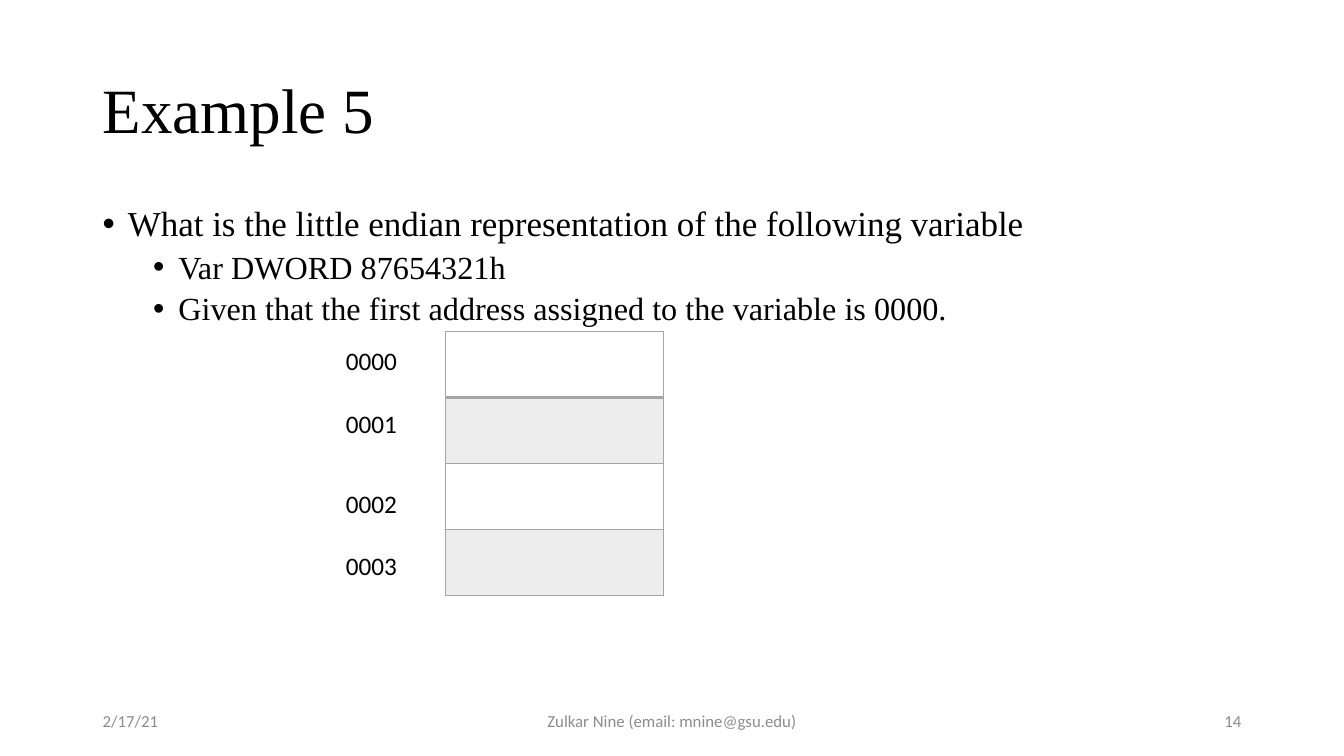
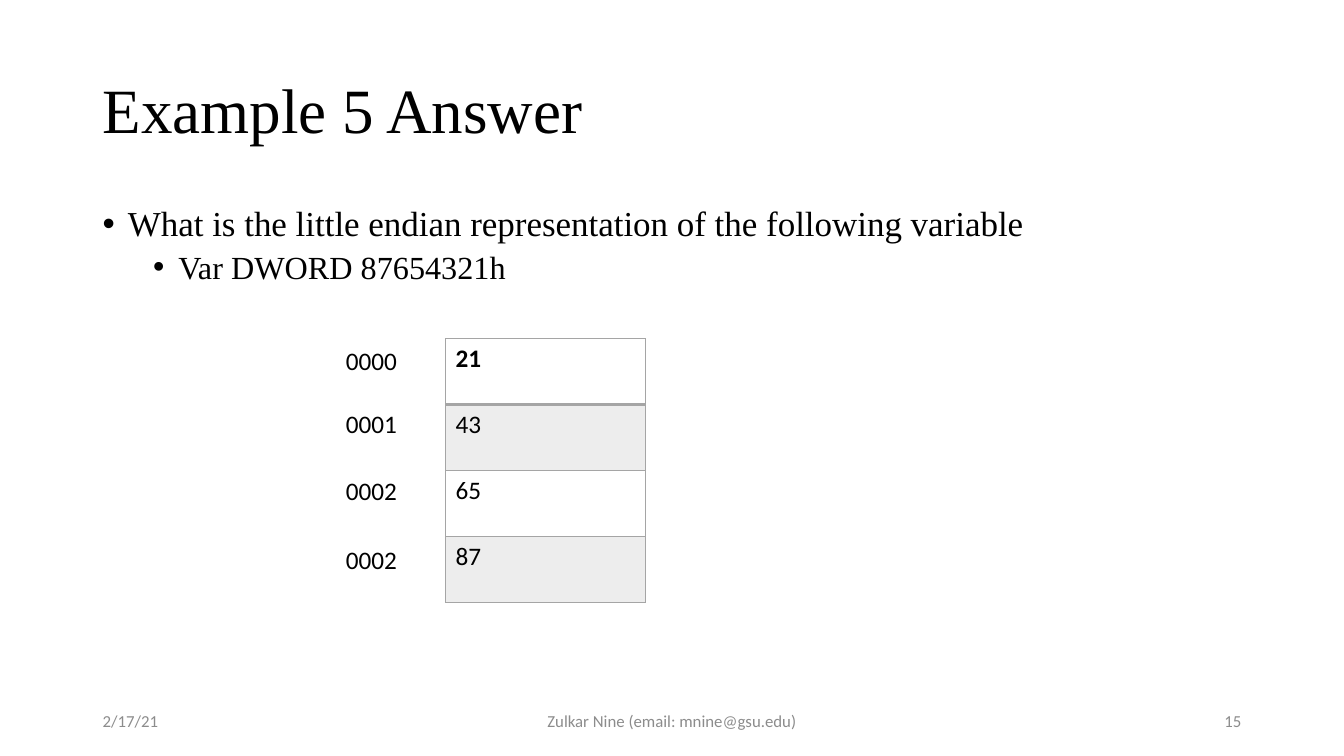
from lxml import etree
from pptx import Presentation
from pptx.dml.color import RGBColor
from pptx.enum.shapes import MSO_SHAPE as SHAPE
from pptx.enum.text import MSO_ANCHOR as ANCHOR, PP_ALIGN as ALIGN
from pptx.oxml.ns import qn
from pptx.util import Inches, Pt

WIDTH, HEIGHT = 13.33, 7.5
MARGIN = 0.92
CONTENT = WIDTH - 2 * MARGIN
BLACK, WHITE, GREY, RULE, BAND = "000000", "FFFFFF", "8C8C8C", "A5A5A5", "EDEDED"

TITLE = dict(name="Times New Roman", size=45, color=BLACK)
LEVELS = [  # text format, left indent, space before
    (dict(TITLE, size=25), 0.25, 10),
    (dict(TITLE, size=23), 0.75, 5),
]
FOOTER = dict(name="Calibri", size=12, color=GREY)
MEMORY = dict(name="Calibri", size=18, color=BLACK)

QUESTION = [
    (0, "What is the little endian representation of the following variable"),
    (1, "Var DWORD 87654321h"),
]
SLIDES = [
    dict(title="Example 5", number="14",
         bullets=QUESTION + [
             (1, "Given that the first address assigned to the variable is 0000.")],
         table_top=3.29, table_width=2.16, cells=["", "", "", ""],
         addresses=[("0000", 3.41), ("0001", 4.03), ("0002", 4.82), ("0003", 5.44)]),
    dict(title="Example 5 Answer", number="15", bullets=QUESTION,
         table_top=3.36, table_width=1.98, cells=["21", "43", "65", "87"],
         addresses=[("0000", 3.41), ("0001", 4.03), ("0002", 4.7), ("0002", 5.38)]),
]
FOOTERS = [  # text (None: slide number), left, width, alignment
    ("2/17/21", MARGIN, 3, ALIGN.LEFT),
    ("Zulkar Nine (email: mnine@gsu.edu)", (WIDTH - 4.5) / 2, 4.5, ALIGN.CENTER),
    (None, WIDTH - MARGIN - 3, 3, ALIGN.RIGHT),
]
TABLE_LEFT, ROW_HEIGHT = 4.42, 0.655
ADDRESS_LEFT, ADDRESS_WIDTH, ADDRESS_HEIGHT = 3.05, 1.27, 0.34


def rgb(color):
    return RGBColor.from_string(color)


def box(*lengths):
    return [Inches(length) for length in lengths]


def write(paragraph, text, style, **layout):
    """Add one run in the given format; layout holds paragraph attributes."""
    for attribute, value in layout.items():
        setattr(paragraph, attribute, value)
    font = paragraph.add_run()
    font.text = text
    font = font.font
    values = dict(style, size=Pt(style["size"]))
    font.color.rgb = rgb(values.pop("color"))
    for attribute, value in values.items():
        setattr(font, attribute, value)


def text_frame(slide, area, anchor):
    frame = slide.shapes.add_textbox(*box(*area)).text_frame
    frame.word_wrap = True
    frame.vertical_anchor = anchor
    return frame


def add_bullets(slide, bullets):
    frame = text_frame(slide, (MARGIN, 2, CONTENT, 4.76), ANCHOR.TOP)
    for i, (level, text) in enumerate(bullets):
        paragraph = frame.add_paragraph() if i else frame.paragraphs[0]
        style, indent, before = LEVELS[level]
        properties = paragraph._p.get_or_add_pPr()
        properties.set("marL", str(Inches(indent)))
        properties.set("indent", str(Inches(-0.25)))
        etree.SubElement(properties, qn("a:buFont")).set("typeface", "Arial")
        etree.SubElement(properties, qn("a:buChar")).set("char", "•")
        write(paragraph, text, style, level=level, line_spacing=0.9,
              space_before=Pt(before if i else 0))


def add_borders(cell, **widths):
    properties = cell._tc.get_or_add_tcPr()
    for side in "LRTB":
        line = etree.SubElement(properties, qn(f"a:ln{side}"))
        line.set("w", str(Pt(widths.get(side, 1))))
        fill = etree.SubElement(line, qn("a:solidFill"))
        etree.SubElement(fill, qn("a:srgbClr")).set("val", RULE)


def add_memory(slide, content):
    """Draw the byte cells and the addresses to their left."""
    cells = content["cells"]
    table = slide.shapes.add_table(len(cells), 1, *box(
        TABLE_LEFT, content["table_top"], content["table_width"],
        ROW_HEIGHT * len(cells))).table
    table.horz_banding = table.first_row = False
    for row, text in enumerate(cells):
        cell = table.cell(row, 0)
        add_borders(cell, **{0: {"B": 2}, 1: {"T": 2}}.get(row, {}))
        cell.fill.solid()
        cell.fill.fore_color.rgb = rgb(BAND if row % 2 else WHITE)
        if text:
            write(cell.text_frame.paragraphs[0], text, dict(MEMORY, bold=row == 0))

    for address, top in content["addresses"]:
        label = slide.shapes.add_shape(SHAPE.RECTANGLE, *box(
            ADDRESS_LEFT, top, ADDRESS_WIDTH, ADDRESS_HEIGHT))
        label.shadow.inherit = False
        label.fill.solid()
        label.fill.fore_color.rgb = rgb(WHITE)
        label.line.fill.background()
        label.text_frame.vertical_anchor = ANCHOR.MIDDLE
        write(label.text_frame.paragraphs[0], address, MEMORY, alignment=ALIGN.CENTER)


def add_frame(slide, title, number):
    """Write the title and the footers that every slide has."""
    frame = text_frame(slide, (MARGIN, 0.4, CONTENT, 1.45), ANCHOR.MIDDLE)
    write(frame.paragraphs[0], title, TITLE, line_spacing=0.9)
    for text, left, width, alignment in FOOTERS:
        frame = text_frame(slide, (left, 6.95, width, 0.4), ANCHOR.MIDDLE)
        write(frame.paragraphs[0], text or number, FOOTER, alignment=alignment)


def main():
    deck = Presentation()
    deck.slide_width, deck.slide_height = box(WIDTH, HEIGHT)
    blank = deck.slide_layouts[6]
    for content in SLIDES:
        slide = deck.slides.add_slide(blank)
        add_frame(slide, content["title"], content["number"])
        add_bullets(slide, content["bullets"])
        add_memory(slide, content)
    deck.save("out.pptx")


if __name__ == "__main__":
    main()
